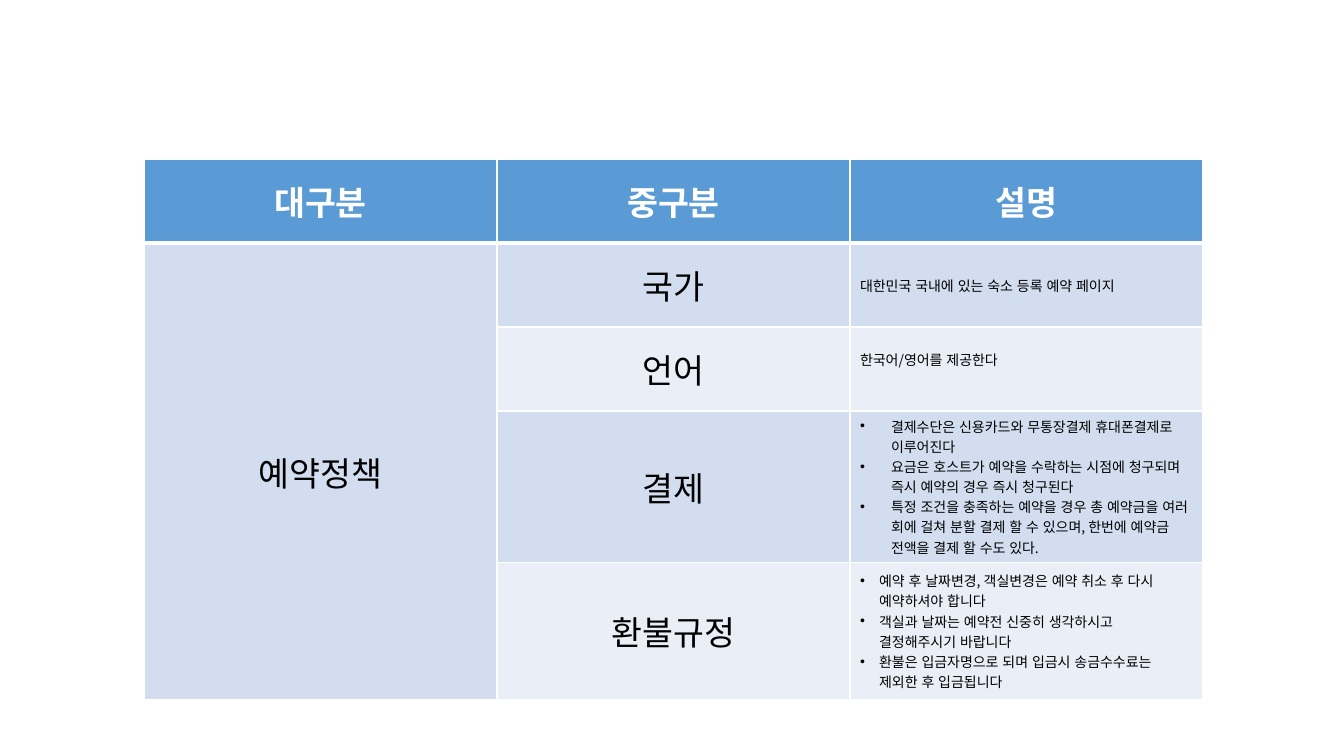
from dataclasses import dataclass

from lxml import etree
from pptx import Presentation
from pptx import util as u
from pptx.dml.color import RGBColor
from pptx.enum import lang, text
from pptx.oxml import ns

EMU_PER_PIXEL = 914400 / 100.8


@dataclass(frozen=True)
class Theme:
    font: str = "Noto Sans CJK KR"
    header_fill: str = "5B9BD5"
    bands: tuple = ("D2DEEF", "EAEFF7")
    border: str = "FFFFFF"
    header_text: str = "FFFFFF"
    body_text: str = "000000"
    label_size: int = 24
    detail_size: int = 10
    thin: int = 1
    thick: int = 3


THEME = Theme()
HEADERS = ["대구분", "중구분", "설명"]
CATEGORY = "예약정책"
# Each policy: label, details, bullet indent, bottom margin
POLICIES = [
    ("국가", ["대한민국 국내에 있는 숙소 등록 예약 페이지"], 0, 5),
    ("언어", ["한국어/영어를 제공한다"], 0, 25),
    ("결제", [
        "결제수단은 신용카드와 무통장결제 휴대폰결제로 이루어진다",
        "요금은 호스트가 예약을 수락하는 시점에 청구되며 즉시 예약의 경우 즉시 청구된다",
        "특정 조건을 충족하는 예약을 경우 총 예약금을 여러 회에 걸쳐 분할 결제 할 수 있으며, "
        "한번에 예약금 전액을 결제 할 수도 있다.",
    ], 31, 5),
    ("환불규정", [
        "예약 후 날짜변경, 객실변경은 예약 취소 후 다시 예약하셔야 합니다",
        "객실과 날짜는 예약전 신중히 생각하시고 결정해주시기 바랍니다",
        "환불은 입금자명으로 되며 입금시 송금수수료는 제외한 후 입금됩니다",
    ], 19, 5),
]
ROW_HEIGHTS = [84, 84, 84, 138, 138]
COLUMN_WIDTH = 353


def px(pixels):
    return u.Emu(round(pixels * EMU_PER_PIXEL))


def add_child(parent, tag, **attributes):
    return etree.SubElement(parent, ns.qn(tag), **attributes)


def set_borders(cell, top, bottom):
    properties = cell._tc.get_or_add_tcPr()
    widths = {"L": THEME.thin, "R": THEME.thin, "T": top, "B": bottom}
    for side, width in widths.items():
        line = add_child(properties, f"a:ln{side}", w=str(u.Pt(width)))
        fill = add_child(line, "a:solidFill")
        add_child(fill, "a:srgbClr", val=THEME.border)


def add_bullet(paragraph, indent):
    properties = paragraph._p.get_or_add_pPr()
    properties.set("marL", str(px(indent)))
    properties.set("indent", str(-px(indent)))
    # Bullet elements come before the default run properties
    bullet_font = etree.Element(ns.qn("a:buFont"), typeface="Arial")
    bullet = etree.Element(ns.qn("a:buChar"), char="•")
    properties.insert(0, bullet_font)
    properties.insert(1, bullet)


def format_font(font, size, color, bold):
    font.size = u.Pt(size)
    font.bold = bold
    font.color.rgb = RGBColor.from_string(color)
    font.language_id = lang.MSO_LANGUAGE_ID.KOREAN
    font.name = THEME.font
    add_child(font._element, "a:ea", typeface=THEME.font)


def fill_cell(cell, lines, fill, size=THEME.label_size, color=THEME.body_text,
              bold=False, align=text.PP_ALIGN.CENTER, indent=0,
              top=THEME.thin, bottom=THEME.thin):
    set_borders(cell, top, bottom)
    cell.fill.solid()
    cell.fill.fore_color.rgb = RGBColor.from_string(fill)
    cell.vertical_anchor = text.MSO_ANCHOR.MIDDLE
    cell.text = "\n".join(lines)
    for paragraph in cell.text_frame.paragraphs:
        paragraph.alignment = align
        format_font(paragraph.font, size, color, bold)
        if indent:
            add_bullet(paragraph, indent)


def add_policy_table(page):
    frame = page.shapes.add_table(
        len(ROW_HEIGHTS), len(HEADERS), px(144), px(159),
        px(COLUMN_WIDTH * len(HEADERS)), px(sum(ROW_HEIGHTS)))
    table = frame.table
    for column in table.columns:
        column.width = px(COLUMN_WIDTH)
    for row, height in zip(table.rows, ROW_HEIGHTS):
        row.height = px(height)

    # Header row
    for column, header in enumerate(HEADERS):
        fill_cell(table.cell(0, column), [header], THEME.header_fill,
                  color=THEME.header_text, bold=True, bottom=THEME.thick)

    # Category spanning all policies
    category = table.cell(1, 0)
    category.merge(table.cell(len(POLICIES), 0))
    fill_cell(category, [CATEGORY], THEME.bands[0], top=THEME.thick)

    # Policy rows in alternating bands
    for row, (label, details, indent, margin) in enumerate(POLICIES, start=1):
        band = THEME.bands[(row - 1) % 2]
        top = THEME.thick if row == 1 else THEME.thin
        fill_cell(table.cell(row, 1), [label], band, top=top)
        detail = table.cell(row, 2)
        fill_cell(detail, details, band, size=THEME.detail_size,
                  align=text.PP_ALIGN.LEFT, indent=indent, top=top)
        detail.margin_bottom = px(margin)


def main():
    deck = Presentation()
    deck.slide_width, deck.slide_height = px(1344), px(756)
    page = deck.slides.add_slide(deck.slide_layouts[6])
    add_policy_table(page)
    deck.save("out.pptx")


main()
